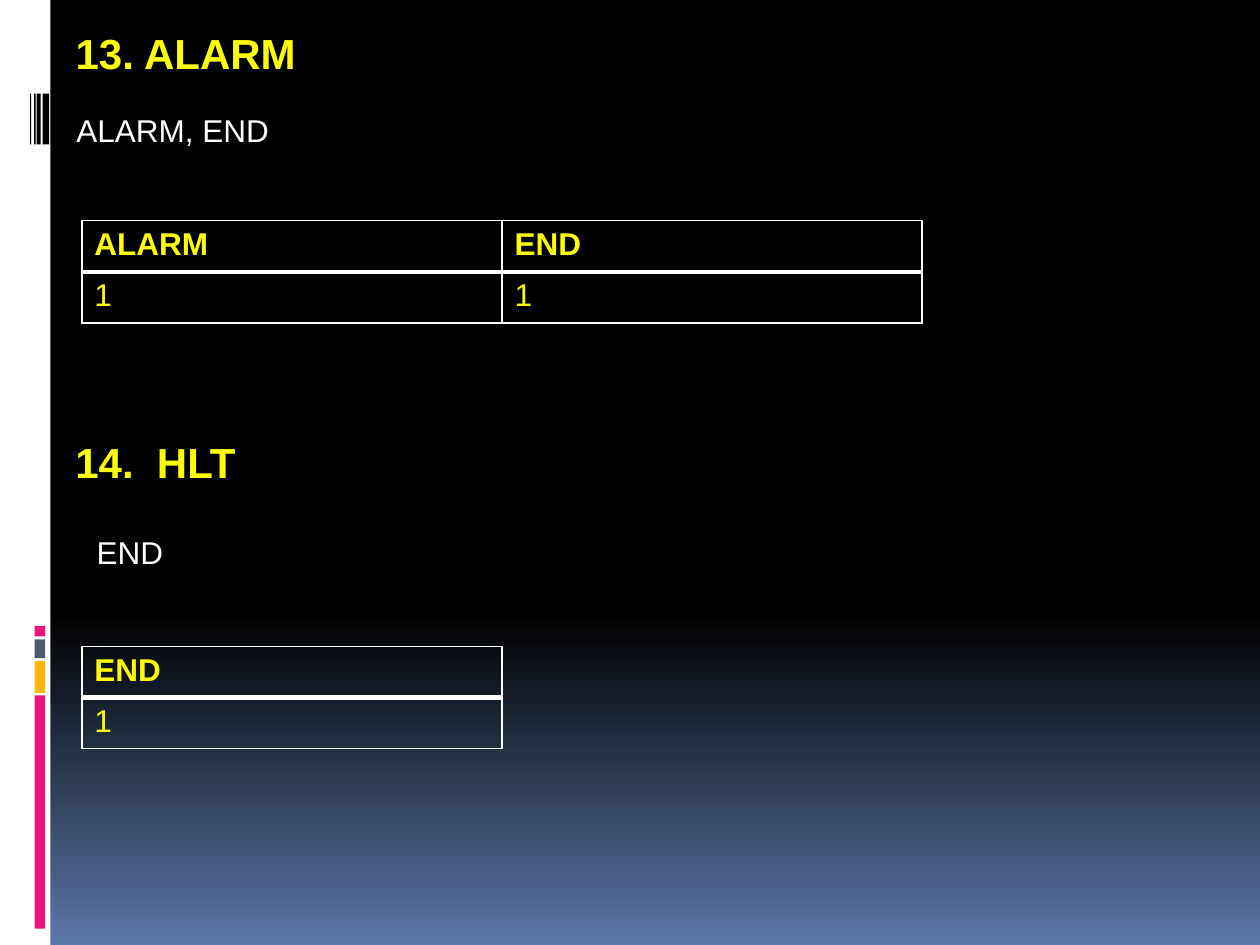
from copy import deepcopy
from dataclasses import dataclass

from pptx import Presentation
from pptx.dml.color import RGBColor
from pptx.enum.shapes import MSO_SHAPE
from pptx.enum.text import MSO_ANCHOR, MSO_AUTO_SIZE, PP_ALIGN
from pptx.oxml import parse_xml
from pptx.oxml.ns import nsdecls, qn
from pptx.util import Cm, Pt

RECTANGLE = MSO_SHAPE.RECTANGLE
TOP = MSO_ANCHOR.TOP
NO_AUTO_SIZE = MSO_AUTO_SIZE.NONE
LEFT = PP_ALIGN.LEFT
TITLE_ONLY = 5

BLACK = RGBColor(0x00, 0x00, 0x00)
WHITE = RGBColor(0xFF, 0xFF, 0xFF)
YELLOW = RGBColor(0xFF, 0xFF, 0x00)
PINK = RGBColor(0xEA, 0x15, 0x7A)
AMBER = RGBColor(0xFE, 0xB8, 0x0A)
SLATE = RGBColor(0x4E, 0x5B, 0x6F)
BLUE = RGBColor(0x5A, 0x77, 0xA9)

HEADING = {"size": Pt(24), "bold": True, "color": YELLOW}
BODY = {"size": Pt(18), "bold": False, "color": WHITE}
TABLE_HEAD = {"size": Pt(18), "bold": True, "color": YELLOW}
TABLE_BODY = {**TABLE_HEAD, "bold": False}

TABLE_LEFT, COLUMN_WIDTH, ROW_HEIGHT = 1.65, 8.47, 1.03
THIN, THICK = Pt(1), Pt(3)


@dataclass(frozen=True)
class Bar:
    left: float
    top: float
    width: float
    height: float
    color: RGBColor


@dataclass(frozen=True)
class Label:
    text: str
    left: float
    top: float
    width: float
    height: float
    style: dict
    wrap: bool


@dataclass(frozen=True)
class BitTable:
    top: float
    names: tuple[str, ...]
    bits: tuple[str, ...]


SIDE_BARS = [
    Bar(0, 0, 1.02, 19.05, WHITE),
    *(Bar(0.7, top, 0.21, height, color) for top, height, color in (
        (14.02, 4.7, PINK), (13.33, 0.64, AMBER),
        (12.89, 0.38, SLATE), (12.62, 0.21, PINK))),
    *(Bar(left, 1.89, width, 1.02, BLACK) for left, width in (
        (0.86, 0.13), (0.74, 0.08), (0.69, 0.03), (0.61, 0.02))),
]
TITLE = Label("13. ALARM", 1.27, 0.42, 5.03, 1.28, HEADING, False)
LABELS = [
    Label("ALARM, END", 1.29, 2.12, 22.86, 1.03, BODY, True),
    Label("14.  HLT", 1.27, 8.68, 3.84, 1.28, HEADING, False),
    Label("END", 1.7, 10.62, 22.86, 1.03, BODY, True),
]
TABLES = [
    BitTable(4.45, ("ALARM", "END"), ("1", "1")),
    BitTable(13.03, ("END",), ("1",)),
]


def paint_background(slide) -> None:
    fill = slide.background.fill
    fill.gradient()
    fill.gradient_angle = 270
    stop_list = slide.element.find(".//" + qn("a:gsLst"))
    stop_list.insert(1, deepcopy(stop_list[0]))
    for stop, position, color in zip(
            fill.gradient_stops, (0, 0.65, 1), (BLACK, BLACK, BLUE)):
        stop.position = position
        stop.color.rgb = color


def write_text(text_frame, text: str, style: dict) -> None:
    paragraph = text_frame.paragraphs[0]
    paragraph.alignment = LEFT
    run = paragraph.add_run()
    run.text = text
    run.font.name = "Arial"
    for name, value in style.items():
        if name == "color":
            run.font.color.rgb = value
        else:
            setattr(run.font, name, value)


def draw_bar(slide, bar: Bar) -> None:
    shape = slide.shapes.add_shape(
        RECTANGLE, Cm(bar.left), Cm(bar.top), Cm(bar.width), Cm(bar.height))
    shape.shadow.inherit = False
    shape.fill.solid()
    shape.fill.fore_color.rgb = bar.color
    shape.line.fill.background()


def fill_label(shape, label: Label) -> None:
    for name in ("left", "top", "width", "height"):
        setattr(shape, name, Cm(getattr(label, name)))
    frame_format = {"word_wrap": label.wrap, "auto_size": NO_AUTO_SIZE,
                    "vertical_anchor": TOP}
    for name, value in frame_format.items():
        setattr(shape.text_frame, name, value)
    write_text(shape.text_frame, label.text, label.style)


def set_borders(cell, widths: dict) -> None:
    properties = cell._tc.get_or_add_tcPr()
    for index, (side, width) in enumerate(widths.items()):
        properties.insert(index, parse_xml(
            f'<a:{side} {nsdecls("a")} w="{width}"><a:solidFill>'
            f'<a:srgbClr val="{WHITE}"/></a:solidFill></a:{side}>'))


def draw_table(slide, bit_table: BitTable) -> None:
    columns = len(bit_table.names)
    table = slide.shapes.add_table(
        2, columns, Cm(TABLE_LEFT), Cm(bit_table.top),
        Cm(COLUMN_WIDTH * columns), Cm(ROW_HEIGHT * 2)).table
    rows = (
        (bit_table.names, TABLE_HEAD, THIN, THICK),
        (bit_table.bits, TABLE_BODY, THICK, THIN),
    )
    for row, (texts, style, top, bottom) in enumerate(rows):
        for column, text in enumerate(texts):
            cell = table.cell(row, column)
            cell.fill.background()
            write_text(cell.text_frame, text, style)
            set_borders(cell, {"lnL": THIN, "lnR": THIN, "lnT": top, "lnB": bottom})


def main() -> None:
    presentation = Presentation()
    presentation.slide_width, presentation.slide_height = Cm(25.4), Cm(19.05)
    slide = presentation.slides.add_slide(presentation.slide_layouts[TITLE_ONLY])

    # Background and side strip
    paint_background(slide)
    for bar in SIDE_BARS:
        draw_bar(slide, bar)

    # Headings and instruction lists
    fill_label(slide.shapes.title, TITLE)
    for label in LABELS:
        fill_label(slide.shapes.add_textbox(0, 0, 0, 0), label)

    # Control bit tables
    for bit_table in TABLES:
        draw_table(slide, bit_table)

    presentation.save("out.pptx")


if __name__ == "__main__":
    main()
